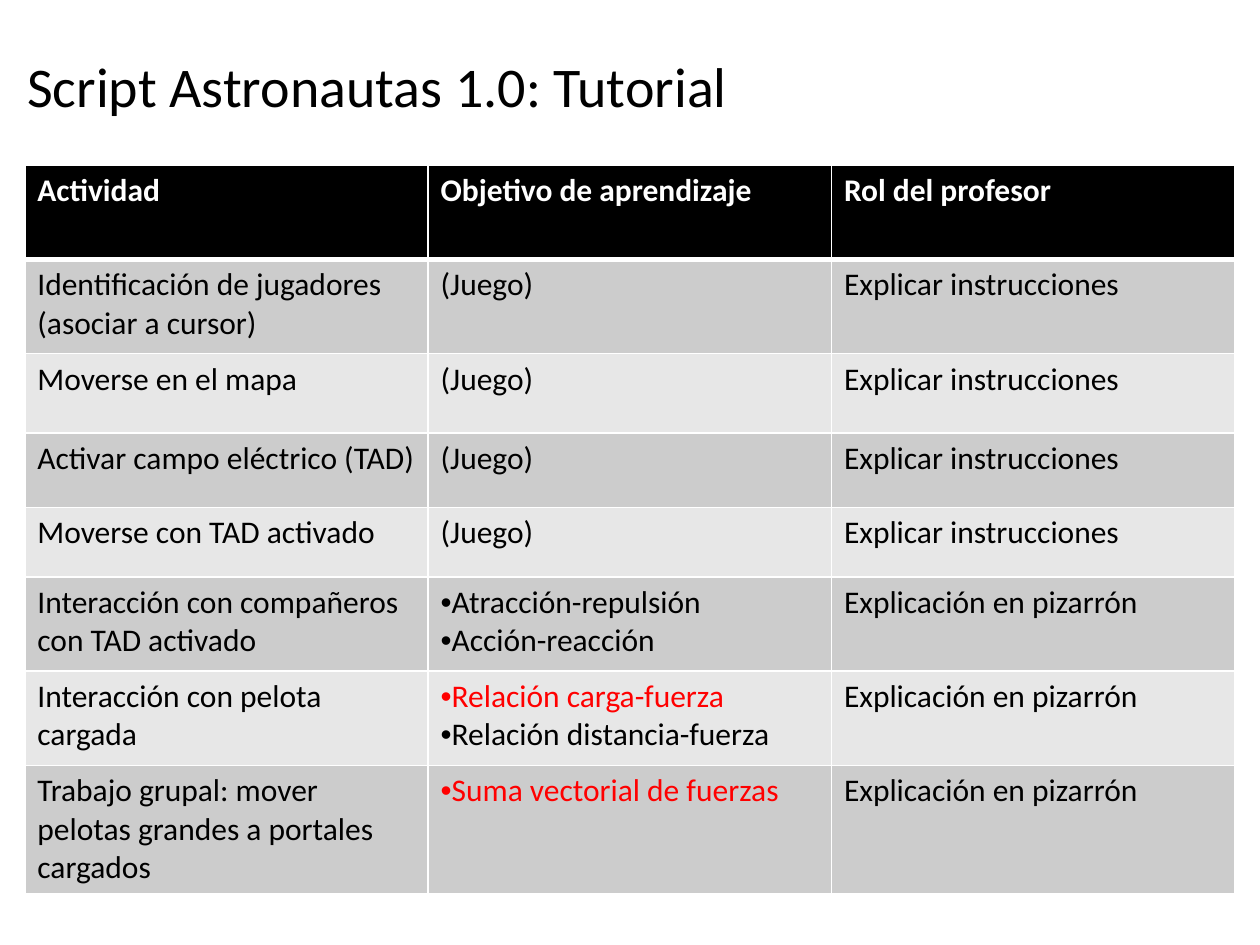
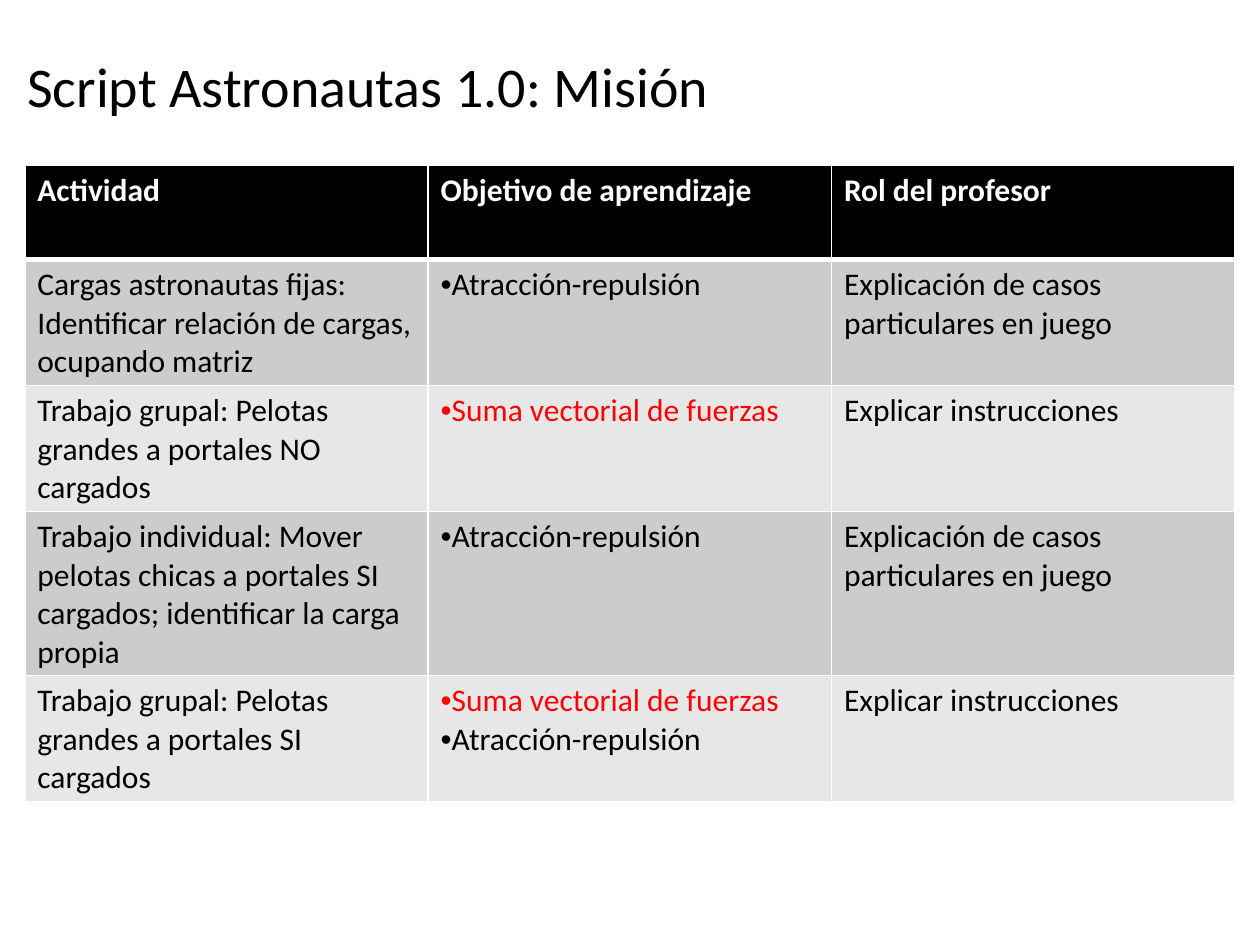
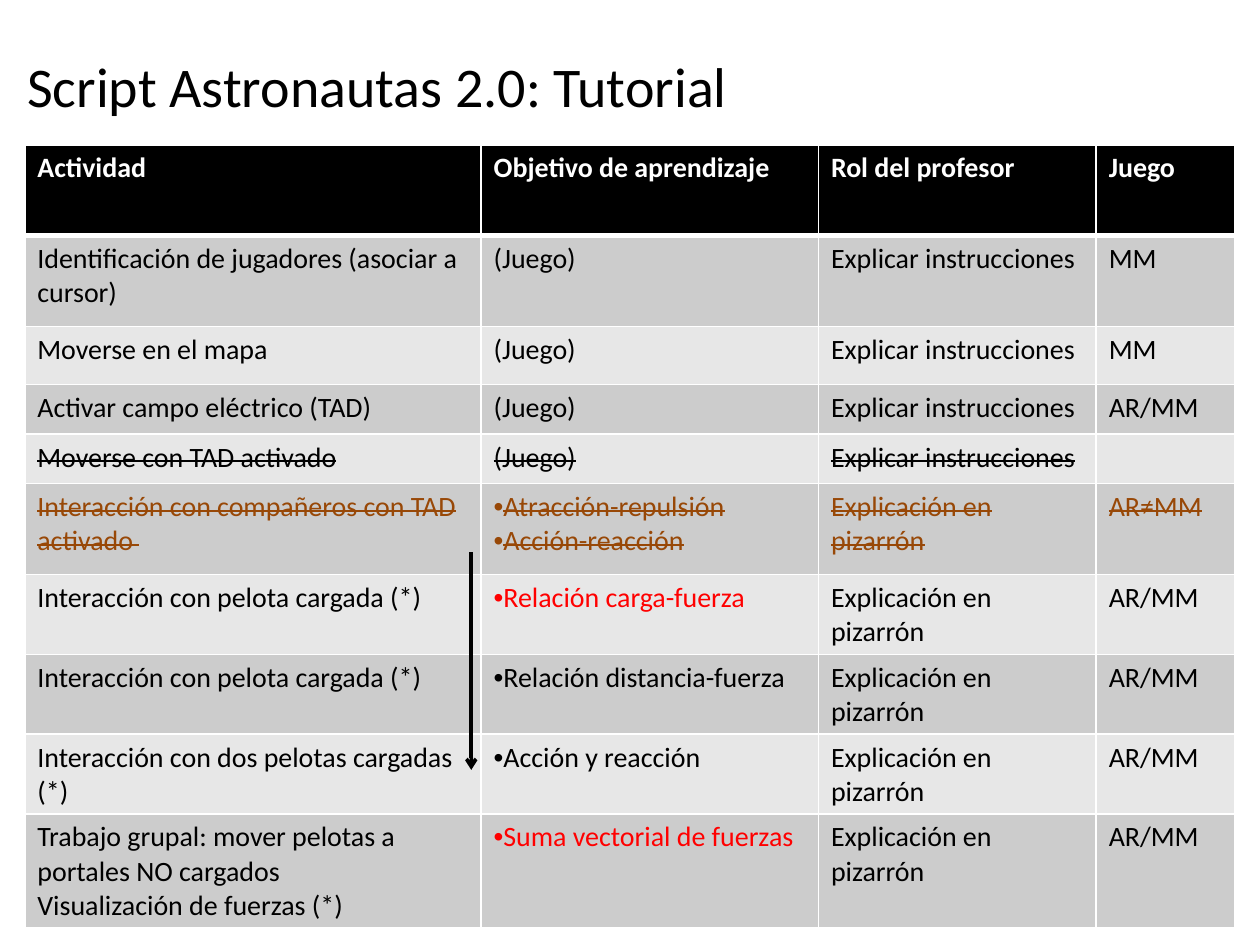
"""Build three slides of activity tables for the Astronautas classroom script."""
from lxml import etree
from pptx import Presentation
from pptx import util as u
from pptx.dml import color
from pptx.enum import shapes, text
from pptx.oxml import ns

FONT = "Calibri"
BLACK, WHITE, RED, BROWN = "000000", "FFFFFF", "FF0000", "984807"
BANDS = ["E7E7E7", "CCCCCC"]
KEY_OBJECTIVES = {"Relación carga-fuerza", "Suma vectorial de fuerzas"}
HEADER = ["Actividad", "Objetivo de aprendizaje", "Rol del profesor"]
GAME, EXPLAIN = "(Juego)", "Explicar instrucciones"
BOARD = "Explicación en pizarrón"
CASES = "Explicación de casos particulares en juego"
ATTRACTION, VECTOR_SUM = "•Atracción-repulsión", "•Suma vectorial de fuerzas"

pages = [
    {
        "title": "Script Astronautas 1.0: Tutorial",
        "top": 3.33, "height": 14.63, "size": 18,
        "widths": [8.13] * 3,
        "heights": [1.9, 1.9, 1.6, 1.5, 1.4, 1.9, 1.9, 1.9],
        "rows": [
            HEADER,
            ["Identificación de jugadores (asociar a cursor)", GAME, EXPLAIN],
            ["Moverse en el mapa", GAME, EXPLAIN],
            ["Activar campo eléctrico (TAD)", GAME, EXPLAIN],
            ["Moverse con TAD activado", GAME, EXPLAIN],
            ["Interacción con compañeros con TAD activado",
             ATTRACTION + "\n•Acción-reacción", BOARD],
            ["Interacción con pelota cargada",
             "•Relación carga-fuerza\n•Relación distancia-fuerza", BOARD],
            ["Trabajo grupal: mover pelotas grandes a portales cargados",
             VECTOR_SUM, BOARD],
        ],
    },
    {
        "title": "Script Astronautas 1.0: Misión",
        "top": 3.33, "height": 12.83, "size": 18,
        "widths": [8.13] * 3,
        "heights": [1.9, 1.9, 1.6, 1.5, 1.4],
        "rows": [
            HEADER,
            ["Cargas astronautas fijas: Identificar relación de cargas, ocupando matriz",
             ATTRACTION, CASES],
            ["Trabajo grupal: Pelotas grandes a portales NO cargados", VECTOR_SUM, EXPLAIN],
            ["Trabajo individual: Mover pelotas chicas a portales SI cargados; "
             "identificar la carga propia", ATTRACTION, CASES],
            ["Trabajo grupal: Pelotas grandes a portales SI cargados",
             VECTOR_SUM + "\n" + ATTRACTION, EXPLAIN],
        ],
    },
    {
        "title": "Script Astronautas 2.0: Tutorial",
        "top": 2.92, "height": 15.72, "size": 16,
        "widths": [9.2, 6.8, 5.6, 2.8],
        "heights": [1.83, 1.83, 1.17, 1, 1, 1.83, 1.57, 1.57, 1.57, 2.2],
        "struck": {4: BLACK, 5: BROWN},
        "rows": [
            HEADER + ["Juego"],
            ["Identificación de jugadores (asociar a cursor)", GAME, EXPLAIN, "MM"],
            ["Moverse en el mapa", GAME, EXPLAIN, "MM"],
            ["Activar campo eléctrico (TAD)", GAME, EXPLAIN, "AR/MM"],
            ["Moverse con TAD activado", GAME, EXPLAIN, ""],
            ["Interacción con compañeros con TAD activado ",
             ATTRACTION + "\n•Acción-reacción", BOARD, "AR≠MM"],
            ["Interacción con pelota cargada (*)", "•Relación carga-fuerza", BOARD, "AR/MM"],
            ["Interacción con pelota cargada (*)", "•Relación distancia-fuerza", BOARD, "AR/MM"],
            ["Interacción con dos pelotas cargadas (*)", "•Acción y reacción", BOARD, "AR/MM"],
            ["Trabajo grupal: mover pelotas a portales NO cargados\n"
             "Visualización de fuerzas (*)", VECTOR_SUM, BOARD, "AR/MM"],
        ],
    },
]


def rgb(value):
    return color.RGBColor.from_string(value)


def add_child(parent, tag, **attributes):
    return etree.SubElement(parent, ns.qn(tag), **attributes)


presentation = Presentation()
presentation.slide_width, presentation.slide_height = u.Cm(25.4), u.Cm(19.05)

for page in pages:
    slide = presentation.slides.add_slide(presentation.slide_layouts[6])
    rows, widths = page["rows"], page["widths"]
    frame = slide.shapes.add_table(len(rows), len(widths), u.Cm(0.5), u.Cm(page["top"]),
                                   u.Cm(sum(widths)), u.Cm(page["height"]))
    table = frame.table
    for column, width in zip(table.columns, widths):
        column.width = u.Cm(width)
    for row, height in zip(table.rows, page["heights"]):
        row.height = u.Cm(height)
    frame.height = u.Cm(page["height"])

    for row_index, row in enumerate(rows):
        is_header = row_index == 0
        struck = page.get("struck", {})
        row_color = WHITE if is_header else struck.get(row_index, BLACK)
        for column_index, content in enumerate(row):
            cell = table.cell(row_index, column_index)
            properties = cell._tc.get_or_add_tcPr()
            for side in "LRTB":
                under_header = (row_index, side) in [(0, "B"), (1, "T")]
                border = add_child(properties, f"a:ln{side}",
                                   w=str(u.Pt(3 if under_header else 1)))
                add_child(add_child(border, "a:solidFill"), "a:srgbClr", val=WHITE)
            cell.fill.solid()
            cell.fill.fore_color.rgb = rgb(BLACK if is_header else BANDS[row_index % 2])

            cell.text_frame.text = content
            for paragraph in cell.text_frame.paragraphs:
                if paragraph.text.startswith("•"):
                    paragraph.text = paragraph.text[1:]
                    bullet = paragraph._p.get_or_add_pPr()
                    add_child(bullet, "a:buFont", typeface="Arial")
                    add_child(bullet, "a:buChar", char="•")
                for run in paragraph.runs:
                    run.font.name, run.font.size = FONT, u.Pt(page["size"])
                    run.font.bold = is_header
                    run.font.color.rgb = rgb(RED if run.text in KEY_OBJECTIVES else row_color)
                    if row_index in struck:
                        run._r.get_or_add_rPr().set("strike", "sngStrike")
                if not paragraph.runs:
                    add_child(paragraph._p, "a:endParaRPr", sz=str(page["size"] * 100))

    title = slide.shapes.add_textbox(u.Cm(0.3), u.Cm(0.13), u.Cm(22.86), u.Cm(3.17))
    title.text_frame.word_wrap = True
    title.text_frame.vertical_anchor = text.MSO_ANCHOR.MIDDLE
    title.text_frame.text = page["title"]
    title_font = title.text_frame.paragraphs[0].runs[0].font
    title_font.name, title_font.size = FONT, u.Pt(32)
    title_font.color.rgb = rgb(BLACK)

sequence_arrow = slide.shapes.add_connector(shapes.MSO_CONNECTOR.STRAIGHT, u.Cm(9.5),
                                            u.Cm(11.13), u.Cm(9.5), u.Cm(15.52))
sequence_arrow.line.color.rgb = rgb(BLACK)
sequence_arrow.line.width = u.Pt(2)
add_child(sequence_arrow.line._get_or_add_ln(), "a:tailEnd", type="arrow")
add_child(sequence_arrow._element.spPr, "a:effectLst")

presentation.save("out.pptx")
